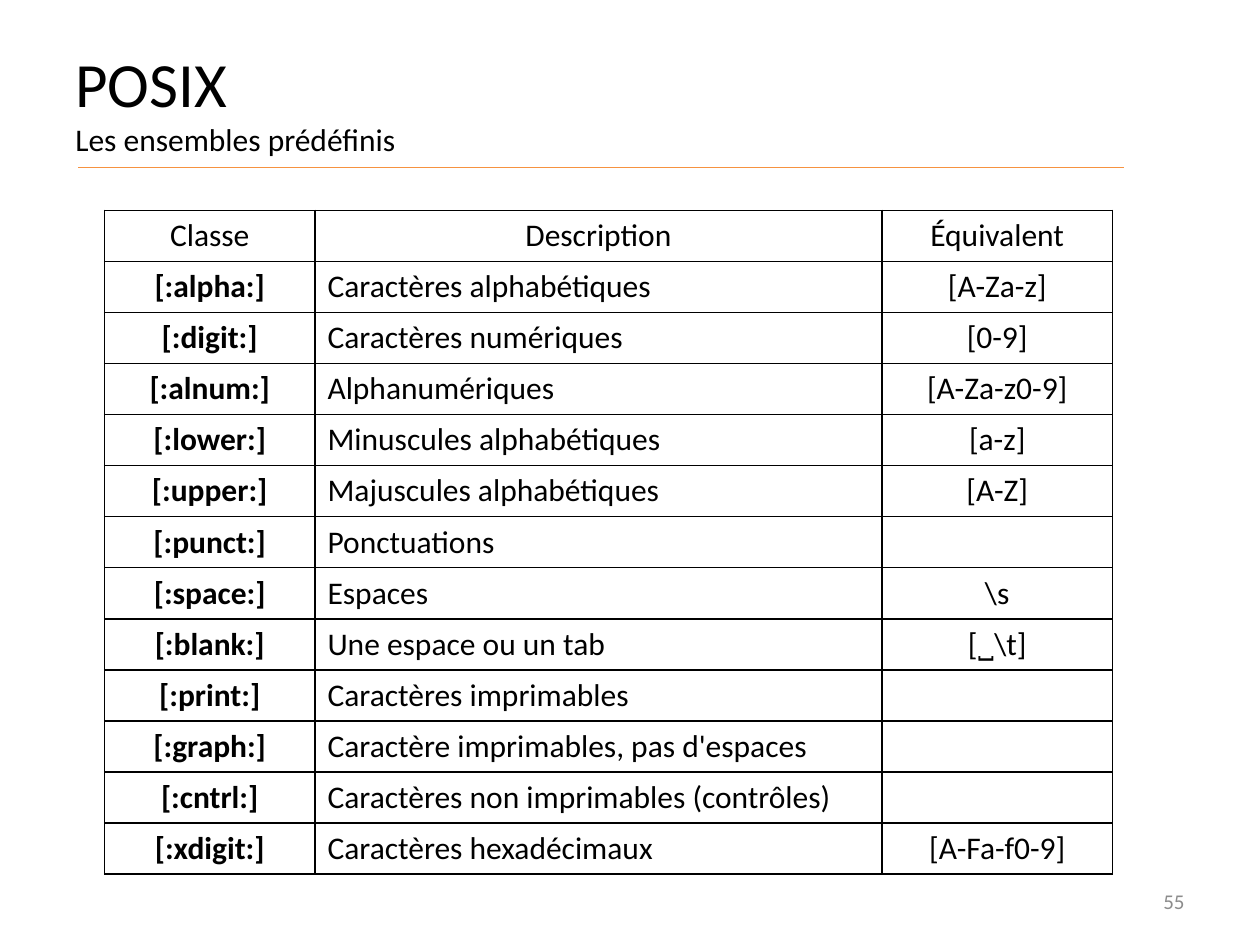
from lxml import etree
from pptx import Presentation
from pptx import util as u
from pptx.dml.color import RGBColor
from pptx.enum import shapes, text
from pptx.oxml import ns

BLACK = RGBColor(0x00, 0x00, 0x00)
GRAY = RGBColor(0x8C, 0x8C, 0x8C)
ORANGE = RGBColor(0xF6, 0x92, 0x40)

LEFT = text.PP_ALIGN.LEFT
CENTER = text.PP_ALIGN.CENTER
RIGHT = text.PP_ALIGN.RIGHT

HEADERS = ("Classe", "Description", "Équivalent")
CLASSES = (
    ("alpha", "Caractères alphabétiques", "[A-Za-z]"),
    ("digit", "Caractères numériques", "[0-9]"),
    ("alnum", "Alphanumériques", "[A-Za-z0-9]"),
    ("lower", "Minuscules alphabétiques", "[a-z]"),
    ("upper", "Majuscules alphabétiques", "[A-Z]"),
    ("punct", "Ponctuations", ""),
    ("space", "Espaces", r"\s"),
    ("blank", "Une espace ou un tab", r"[˽\t]"),
    ("print", "Caractères imprimables", ""),
    ("graph", "Caractère imprimables, pas d'espaces", ""),
    ("cntrl", "Caractères non imprimables (contrôles)", ""),
    ("xdigit", "Caractères hexadécimaux", "[A-Fa-f0-9]"),
)


class SlideBuilder:
    font = "Calibri"
    body_size = 18

    def __init__(self, slide):
        self.slide = slide

    def add_run(self, paragraph, content, size=body_size, color=BLACK, bold=False):
        run = paragraph.add_run()
        run.text = content
        run.font.name = self.font
        run.font.size = u.Pt(size)
        run.font.bold = bold
        run.font.color.rgb = color

    def add_text(self, left, top, width, height, align, anchor):
        box = self.slide.shapes.add_textbox(
            u.Inches(left), u.Inches(top), u.Inches(width), u.Inches(height))
        box.text_frame.word_wrap = True
        box.text_frame.vertical_anchor = anchor
        paragraph = box.text_frame.paragraphs[0]
        paragraph.alignment = align
        return paragraph

    def add_rule(self, left, right, y):
        line = self.slide.shapes.add_connector(
            shapes.MSO_CONNECTOR.STRAIGHT,
            u.Inches(left), u.Inches(y), u.Inches(right), u.Inches(y))
        line.line.color.rgb = ORANGE
        line.line.width = u.Pt(0.75)
        etree.SubElement(line._element.spPr, ns.qn("a:effectLst"))

    def add_table(self, left, top, widths, height, row_count):
        frame = self.slide.shapes.add_table(
            row_count, len(widths), u.Inches(left), u.Inches(top),
            u.Inches(sum(widths)), u.Inches(height))
        table = frame.table
        table.first_row = False
        table.horz_banding = False
        for column, width in zip(table.columns, widths):
            column.width = u.Inches(width)
        return table

    def fill_cell(self, cell, runs, align):
        paragraph = cell.text_frame.paragraphs[0]
        paragraph.alignment = align
        for content, bold in runs:
            self.add_run(paragraph, content, bold=bold)
        properties = cell._tc.get_or_add_tcPr()
        for side in ("lnL", "lnR", "lnT", "lnB"):
            border = etree.SubElement(properties, ns.qn(f"a:{side}"), w=str(u.Pt(1)))
            fill = etree.SubElement(border, ns.qn("a:solidFill"))
            etree.SubElement(fill, ns.qn("a:srgbClr"), val=str(BLACK))
        cell.fill.background()


def equivalent_runs(content):
    before, mark, after = content.partition("˽")
    return [(part, part == "˽") for part in (before, mark, after) if part]


def main():
    presentation = Presentation()
    presentation.slide_width = u.Inches(10)
    presentation.slide_height = u.Inches(7.5)
    builder = SlideBuilder(presentation.slides.add_slide(presentation.slide_layouts[6]))

    number = builder.add_text(7.17, 6.95, 2.33, 0.4, RIGHT, text.MSO_ANCHOR.MIDDLE)
    builder.add_run(number, "55", size=12, color=GRAY)

    title = builder.add_text(0.5, 0.3, 9, 1.25, LEFT, text.MSO_ANCHOR.TOP)
    builder.add_run(title, "POSIX", size=36)
    title.add_line_break()
    builder.add_run(title, "Les ensembles prédéfinis")
    builder.add_rule(0.62, 8.92, 1.33)

    table = builder.add_table(0.83, 1.67, (1.67, 4.5, 1.83), 5.27, len(CLASSES) + 1)
    for column, header in enumerate(HEADERS):
        builder.fill_cell(table.cell(0, column), [(header, False)], CENTER)
    for row, (name, description, equivalent) in enumerate(CLASSES, 1):
        builder.fill_cell(table.cell(row, 0), [(f"[:{name}:]", True)], CENTER)
        builder.fill_cell(table.cell(row, 1), [(description, False)], LEFT)
        builder.fill_cell(table.cell(row, 2), equivalent_runs(equivalent), CENTER)

    presentation.save("out.pptx")


if __name__ == "__main__":
    main()
